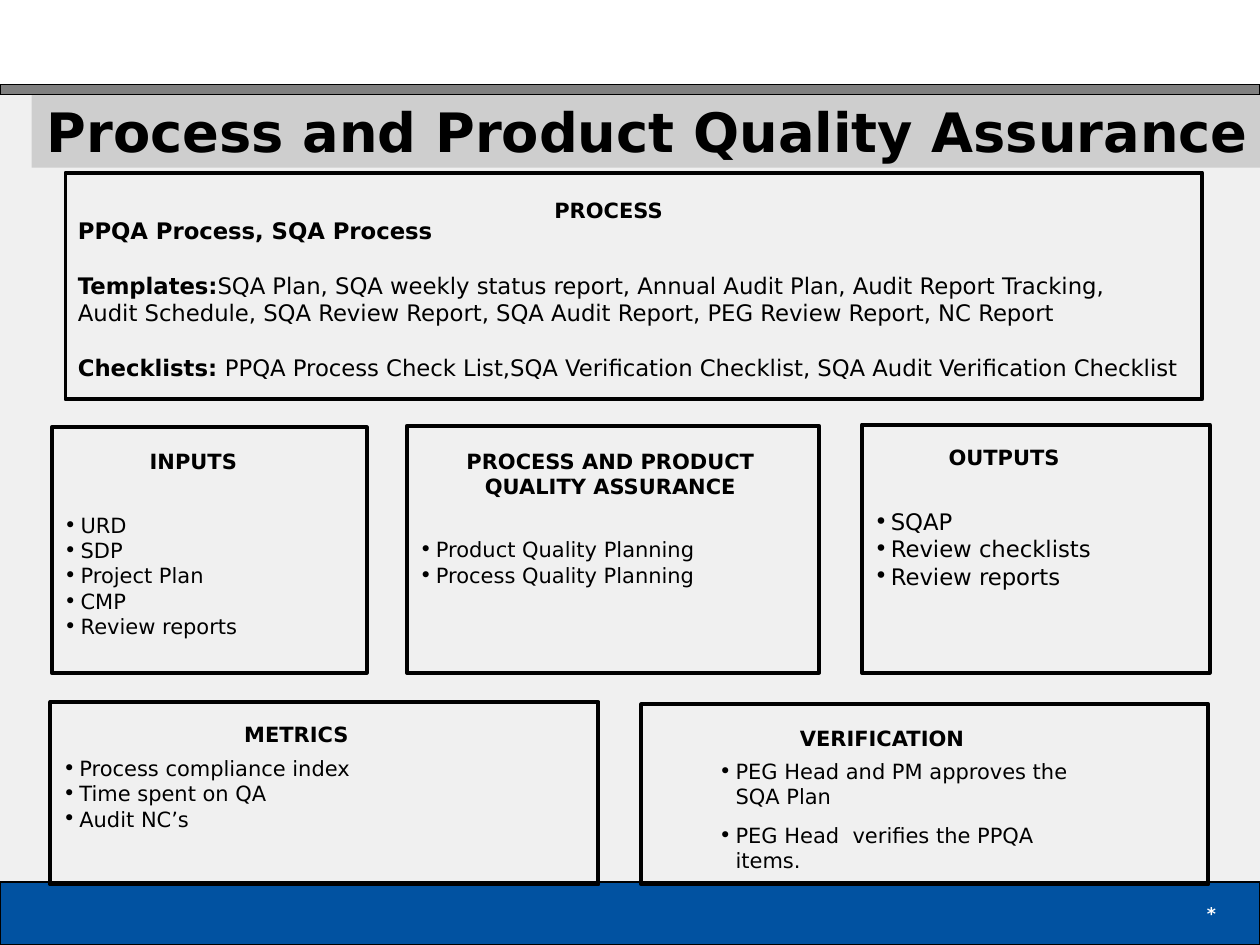
from lxml.etree import SubElement
from pptx import Presentation
from pptx.dml.color import RGBColor
from pptx.enum.shapes import MSO_SHAPE
from pptx.enum.text import MSO_ANCHOR, MSO_AUTO_SIZE, PP_ALIGN
from pptx.oxml.ns import qn
from pptx.util import Inches, Pt

# Grid: one cell is a tenth of an inch on each side
COLUMNS, ROWS = 100, 75
WIDTH, HEIGHT = Inches(10), Inches(7.5)

FONT = "DejaVu Sans"
BLACK = RGBColor(0x00, 0x00, 0x00)
WHITE = RGBColor(0xFF, 0xFF, 0xFF)
GRAY = RGBColor(0x80, 0x80, 0x80)
TITLE_GRAY = RGBColor(0xCE, 0xCE, 0xCE)
PAGE_GRAY = RGBColor(0xF0, 0xF0, 0xF0)
BLUE = RGBColor(0x01, 0x52, 0xA1)

LINE_RATIO = 1.205
INDENT = Inches(0.13)

# Column, row, width and height in grid cells, fill, line width
BANDS = [
    ((0, 70, 100, 5), BLUE, 0.75),
    ((0, 0, 100, 6.7), WHITE, None),
    ((0, 6.7, 100, 0.8), GRAY, 0.75),
]

# Cells, rows above the list, text size, items
LIST_BOXES = [
    ((4, 55.7, 43.5, 14.5), 4.25, 12,
     ["Process compliance index", "Time spent on QA", "Audit NC’s"]),
    ((32.3, 33.8, 32.7, 19.6), 8.8, 12,
     ["Product Quality Planning", "Process Quality Planning"]),
    ((4.1, 33.9, 25, 19.5), 6.75, 12,
     ["URD", "SDP", "Project Plan", "CMP", "Review reports"]),
    ((68.4, 33.7, 27.6, 19.7), 6.6, 13,
     ["SQAP", "Review checklists", "Review reports"]),
]

HEADINGS = [
    ("PROCESS", (41.2, 15.2, 14.2, 3), PP_ALIGN.CENTER),
    ("METRICS", (18.4, 56.8, 11.7, 3), PP_ALIGN.LEFT),
    ("OUTPUTS", (74.3, 34.8, 11.7, 3), PP_ALIGN.LEFT),
    ("INPUTS", (10.9, 35.1, 11.7, 3), PP_ALIGN.LEFT),
    ("VERIFICATION", (62.5, 57.1, 18.3, 3), PP_ALIGN.LEFT),
    ("PROCESS AND PRODUCT QUALITY ASSURANCE", (32.6, 35.1, 31.7, 5),
     PP_ALIGN.CENTER),
]

# Each line: bold part, regular part, whether a gap goes before it
PROCESS_LINES = [
    ("PPQA Process, SQA Process", "", False),
    ("Templates:", "SQA Plan, SQA weekly status report, Annual Audit Plan, "
     "Audit Report Tracking,", True),
    ("", "Audit Schedule, SQA Review Report, SQA Audit Report, "
     "PEG Review Report, NC Report", False),
    ("Checklists: ", "PPQA Process Check List,SQA Verification Checklist, "
     "SQA Audit Verification Checklist", True),
]

VERIFICATION_ITEMS = ["PEG Head and PM approves the SQA Plan",
                      "PEG Head  verifies the PPQA items."]


def set_values(target, values):
    for name, value in values.items():
        setattr(target, name, value)


def grid(cells):
    column, row, width, height = cells
    return (int(WIDTH * column / COLUMNS), int(HEIGHT * row / ROWS),
            int(WIDTH * width / COLUMNS), int(HEIGHT * height / ROWS))


def place(shape, cells):
    set_values(shape, dict(zip(("left", "top", "width", "height"),
                               grid(cells))))


def style_box(shape, fill=None, line_width=None):
    shape.shadow.inherit = False
    if fill is None:
        shape.fill.background()
    else:
        shape.fill.solid()
        shape.fill.fore_color.rgb = fill
    if line_width is None:
        shape.line.fill.background()
    else:
        shape.line.color.rgb = BLACK
        shape.line.width = Pt(line_width)


def add_box(slide, cells, fill=None, line_width=None):
    shape = slide.shapes.add_shape(MSO_SHAPE.RECTANGLE, *grid(cells))
    style_box(shape, fill, line_width)
    return shape


def prepare_frame(shape, anchor=MSO_ANCHOR.TOP, rows_above=0.5, wrap=True):
    frame = shape.text_frame
    set_values(frame, {
        "auto_size": MSO_AUTO_SIZE.NONE, "word_wrap": wrap,
        "vertical_anchor": anchor,
        "margin_left": Inches(0.1), "margin_right": Inches(0.1),
        "margin_top": int(HEIGHT * rows_above / ROWS),
        "margin_bottom": Inches(0.05),
    })
    return frame


def format_font(font, size, bold=False, color=BLACK):
    set_values(font, {"name": FONT, "size": Pt(size), "bold": bold})
    font.color.rgb = color


def next_paragraph(frame, index, size, align=PP_ALIGN.LEFT, gap=0):
    paragraph = frame.add_paragraph() if index else frame.paragraphs[0]
    set_values(paragraph, {"alignment": align, "space_before": Pt(gap),
                           "line_spacing": Pt(size * LINE_RATIO)})
    return paragraph


def add_run(paragraph, text, size, bold=False, color=BLACK):
    run = paragraph.add_run()
    run.text = text
    format_font(run.font, size, bold, color)


def add_bullet(paragraph):
    properties = paragraph._p.get_or_add_pPr()
    properties.set("marL", str(INDENT))
    properties.set("indent", str(-INDENT))
    color = SubElement(properties, qn("a:buClr"))
    SubElement(color, qn("a:srgbClr"), val=str(BLACK))
    SubElement(properties, qn("a:buFont"), typeface=FONT)
    SubElement(properties, qn("a:buChar"), char="•")


def write_list(frame, items, size, gap=0):
    for index, item in enumerate(items):
        paragraph = next_paragraph(frame, index, size,
                                   gap=gap if index else 0)
        add_bullet(paragraph)
        add_run(paragraph, item, size)


def add_label(slide, text, cells, align, size=12, color=BLACK,
              anchor=MSO_ANCHOR.TOP):
    frame = prepare_frame(slide.shapes.add_textbox(*grid(cells)), anchor)
    paragraph = next_paragraph(frame, 0, size, align)
    add_run(paragraph, text, size, True, color)


def fill_title(slide):
    title = slide.shapes.title
    place(title, (2.5, 7.5, 97.5, 5.8))
    style_box(title, TITLE_GRAY)
    frame = prepare_frame(title, MSO_ANCHOR.MIDDLE, wrap=False)
    paragraph = frame.paragraphs[0]
    paragraph.alignment = PP_ALIGN.RIGHT
    add_run(paragraph, "Process and Product Quality Assurance", 31, True)


def fill_list_box(placeholder, cells, rows_above, size, items):
    place(placeholder, cells)
    style_box(placeholder, line_width=2.25)
    write_list(prepare_frame(placeholder, rows_above=rows_above), items, size)
    # Bring the list in front of the bands
    element = placeholder._element
    element.getparent().append(element)


def add_process_box(slide):
    shape = add_box(slide, (5.2, 13.7, 90.2, 18), line_width=2.25)
    frame = prepare_frame(shape, rows_above=3.5)
    size = 13
    for index, (bold_text, text, has_gap) in enumerate(PROCESS_LINES):
        gap = size * LINE_RATIO if has_gap else 0
        paragraph = next_paragraph(frame, index, size, gap=gap)
        for part, bold in ((bold_text, True), (text, False)):
            if part:
                add_run(paragraph, part, size, bold)


def main():
    presentation = Presentation()
    set_values(presentation, {"slide_width": WIDTH, "slide_height": HEIGHT})
    slide = presentation.slides.add_slide(presentation.slide_layouts[4])
    slide.background.fill.solid()
    slide.background.fill.fore_color.rgb = PAGE_GRAY

    # Page furniture
    fill_title(slide)
    for band in BANDS:
        add_box(slide, *band)
    add_label(slide, "*", (76.7, 70, 20.8, 5), PP_ALIGN.RIGHT, 10, WHITE,
              MSO_ANCHOR.MIDDLE)

    # Boxes with their lists
    bodies = list(slide.placeholders)[1:]
    for body, content in zip(bodies, LIST_BOXES):
        fill_list_box(body, *content)
    add_process_box(slide)
    add_box(slide, (50.9, 55.9, 45, 14.3), line_width=2.25)
    verification = slide.shapes.add_textbox(*grid((56.1, 59.7, 32.5, 8.1)))
    write_list(prepare_frame(verification), VERIFICATION_ITEMS, 12, gap=7.5)

    # Headings
    for heading in HEADINGS:
        add_label(slide, *heading)
    presentation.save("out.pptx")


if __name__ == "__main__":
    main()
